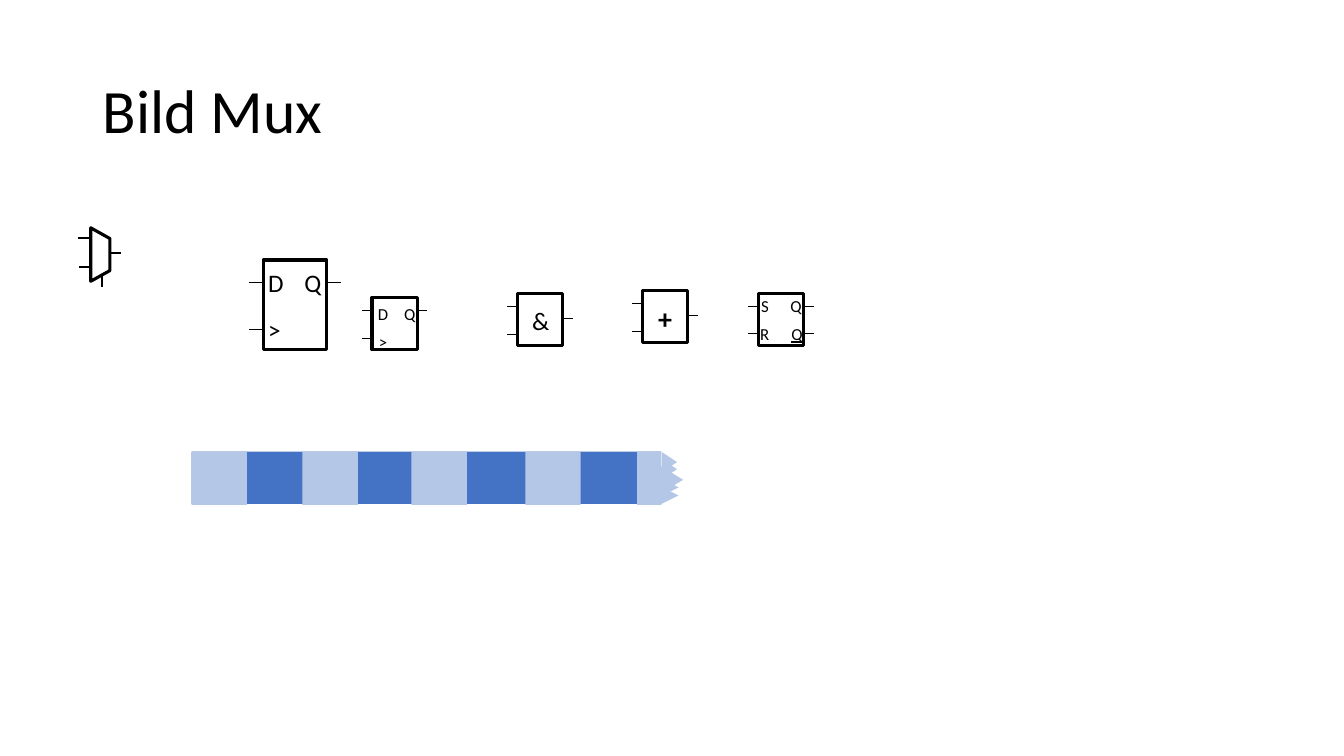
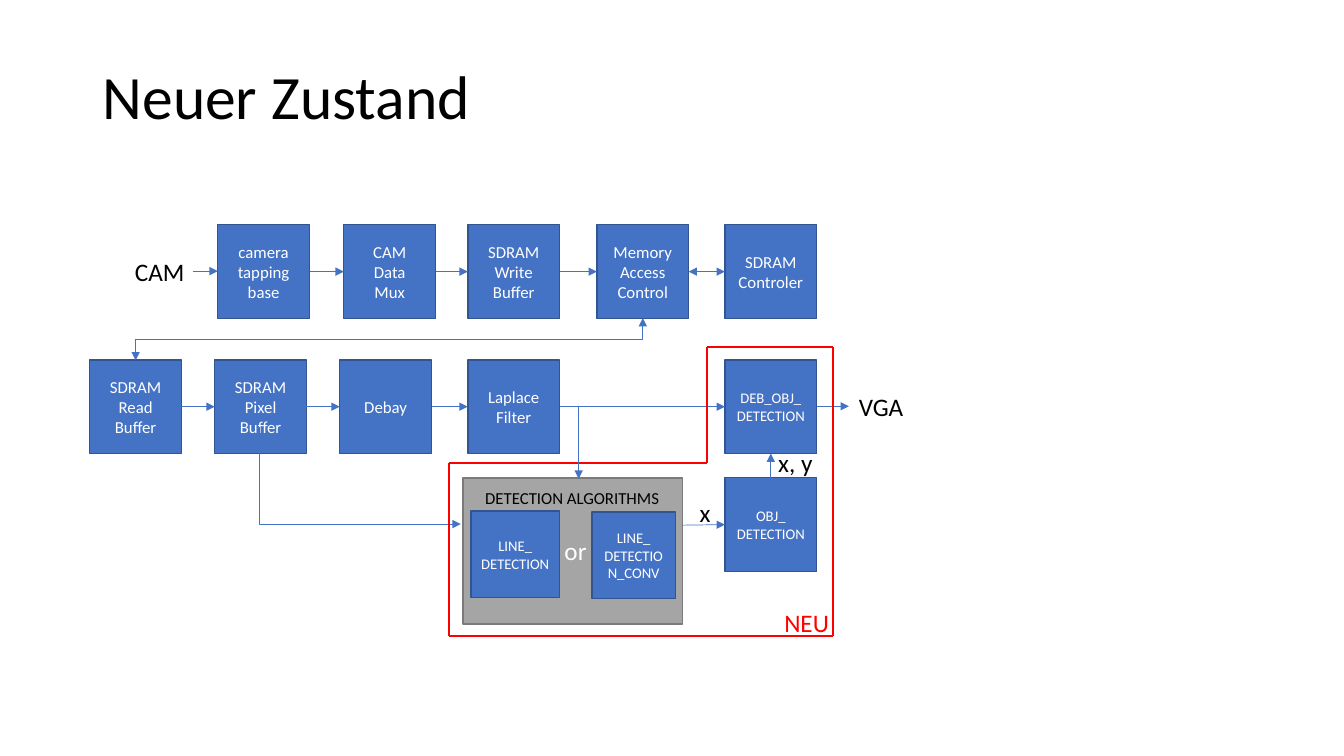
import itertools

import pptx
import pptx.dml.color
import pptx.enum.shapes
import pptx.enum.text
import pptx.oxml.ns
import pptx.util

SHAPE = pptx.enum.shapes.MSO_SHAPE
CONNECTOR = pptx.enum.shapes.MSO_CONNECTOR
ALIGN = pptx.enum.text.PP_ALIGN
ANCHOR = pptx.enum.text.MSO_ANCHOR
inch = pptx.util.Inches
qn = pptx.oxml.ns.qn

# Shared style
FONT = "Calibri"
BLACK, WHITE, RED = "000000", "FFFFFF", "FF0000"
BLUE, BLUE_EDGE, PALE_BLUE = "4472C4", "325491", "B4C7E7"
GREY, GREY_EDGE = "A5A5A5", "7A7A7A"
TOP, LEFT, BOTTOM, RIGHT = range(4)

# Slide 1: logic symbols; pins and labels are offsets from the body's corner
GATE = (0.45, 0.52)
SYMBOLS = [
    {"at": (2.61, 2.58), "size": (0.63, 0.89), "pin": 0.14,
     "inputs": [0.22, 0.69], "outputs": [0.22],
     "labels": [("D", -0.05, 0.02, 18), ("Q", 0.31, 0.02, 18), (">", -0.05, 0.49, 18)]},
    {"at": (3.69, 2.95), "size": GATE, "pin": 0.1,
     "inputs": [0.13, 0.41], "outputs": [0.13],
     "labels": [("D", -0.04, 0.01, 12), ("Q", 0.22, 0.01, 12), (">", -0.03, 0.29, 12)]},
    {"at": (5.13, 2.91), "size": GATE, "pin": 0.1,
     "inputs": [0.13, 0.41], "outputs": [0.25],
     "labels": [("&", 0.05, 0.07, 18)]},
    {"at": (6.37, 2.88), "size": GATE, "pin": 0.1,
     "inputs": [0.13, 0.41], "outputs": [0.25],
     "labels": [("+", 0.06, 0.06, 20)]},
    {"at": (7.52, 2.91), "size": GATE, "pin": 0.1,
     "inputs": [0.13, 0.4], "outputs": [0.13, 0.4],
     "labels": [("S", -0.07, -0.03, 12), ("Q", 0.22, -0.03, 12),
                ("R", -0.08, 0.25, 12), ("Q", 0.23, 0.25, 12)]},
]
BOLD_LABELS = {"+"}
INVERTED_OUTPUT = ("Q", 0.23, 0.25, 12)
MUX_BODY = (0.73, 2.43, 0.53, 0.19)
MUX_PINS = [((1.01, 2.72), (1.01, 2.85)), ((0.89, 2.36), (0.77, 2.36)),
            ((0.9, 2.65), (0.78, 2.65)), ((1.2, 2.51), (1.09, 2.51))]

# Slide 1: data stream with a torn end
STREAM = (1.9, 4.48, 5.35, 0.52)
PALE_CELLS = [1.9, 3, 4.08, 5.21]
CELL = (0.55, 0.53)
TORN_CELL = 6.32
STREAM_END = (6.56, 4.41, 0.75, 0.7)
TEETH = [(6.54, 4.51, 0.2, 0.15), (6.54, 4.58, 0.2, 0.15), (6.53, 4.65, 0.27, 0.22),
         (6.54, 4.74, 0.19, 0.19), (6.54, 4.82, 0.19, 0.19)]

# Slide 2: block diagram, rows of (key, left, text, text size)
BLOCK = (0.91, 0.93)
BLOCK_ROWS = [
    (2.23, [("camera", 2.16, "camera\ntapping\nbase", 12),
            ("mux", 3.41, "CAM\nData\nMux", 12),
            ("write", 4.64, "SDRAM\nWrite\nBuffer", 12),
            ("memory", 5.92, "Memory\nAccess\nControl", 12),
            ("sdram", 7.19, "SDRAM\nControler", 12)]),
    (3.57, [("read", 0.89, "SDRAM\nRead\nBuffer", 12),
            ("pixel", 2.13, "SDRAM\nPixel\nBuffer", 12),
            ("debay", 3.37, "Debay", 12),
            ("laplace", 4.64, "Laplace\nFilter", 12),
            ("debug", 7.19, "DEB_OBJ_\nDETECTION", 10.5)]),
    (4.74, [("object", 7.19, "OBJ_\nDETECTION", 10.5)]),
]
CHAINS = [("camera", "mux", "write", "memory"),
          ("read", "pixel", "debay", "laplace", "debug")]
CAMERA_IN = ((1.91, 2.69), (2.16, 2.69))
VGA_OUT = ((8.1, 4.03), (8.42, 4.03))
FILTER_TAP = ((5.74, 4.04), (5.74, 4.75))
DETECTION_OUT = ((6.77, 5.21), (7.19, 5.21))
NEW_AREA = [(7.01, 3.44), (8.26, 3.44), (8.26, 6.31),
            (4.45, 6.31), (4.45, 4.59), (7.01, 4.59)]
DETECTION_FRAME = (4.59, 4.74, 2.18, 1.45)
DETECTORS = [((4.67, 5.07, 0.88, 0.86), "LINE_\nDETECTION"),
             ((5.87, 5.08, 0.83, 0.86), "LINE_\nDETECTION_CONV")]
SIGNALS = [("CAM", 1.24, 2.49, 0.75, BLACK), ("VGA", 8.42, 3.83, 0.75, BLACK),
           ("NEU", 7.68, 5.98, 0.75, RED), ("x", 6.84, 4.88, 0.35, BLACK),
           ("x, y", 7.62, 4.39, 0.6, BLACK)]


def rgb(color):
    return pptx.dml.color.RGBColor.from_string(color)


def write(shape, text, size, color, align=ALIGN.LEFT, anchor=ANCHOR.TOP):
    frame = shape.text_frame
    frame.word_wrap = True
    frame.vertical_anchor = anchor
    paragraph = frame.paragraphs[0]
    paragraph.text = text
    paragraph.alignment = align
    paragraph.font.name = FONT
    paragraph.font.size = pptx.util.Pt(size)
    paragraph.font.color.rgb = rgb(color)
    return paragraph


def label(shapes, box, text, size, color=BLACK, align=ALIGN.LEFT, anchor=ANCHOR.TOP):
    return write(shapes.add_textbox(*map(inch, box)), text, size, color, align, anchor)


def add_shape(shapes, kind, box, fill, edge=None, width=1, rotation=0):
    shape = shapes.add_shape(kind, *map(inch, box))
    shape.shadow.inherit = False
    shape.rotation = rotation
    shape.fill.solid()
    shape.fill.fore_color.rgb = rgb(fill)
    if edge:
        shape.line.color.rgb = rgb(edge)
        shape.line.width = pptx.util.Pt(width)
    else:
        shape.line.fill.background()
    return shape


def block(shapes, box, text, size, fill=BLUE, edge=BLUE_EDGE):
    shape = add_shape(shapes, SHAPE.RECTANGLE, box, fill, edge)
    write(shape, text, size, WHITE, ALIGN.CENTER, ANCHOR.MIDDLE)
    return shape


def line(shapes, start, end, color=BLACK, width=1, heads=(), kind=CONNECTOR.STRAIGHT):
    connector = shapes.add_connector(kind, *map(inch, (*start, *end)))
    connector.line.color.rgb = rgb(color)
    connector.line.width = pptx.util.Pt(width)
    outline = connector.line._get_or_add_ln()
    for head in heads:
        outline.append(outline.makeelement(qn("a:" + head), {"type": "triangle"}))
    properties = connector._element.spPr
    properties.append(properties.makeelement(qn("a:effectLst"), {}))
    return connector


def arrow(shapes, start, end, heads=("tailEnd",), kind=CONNECTOR.STRAIGHT):
    return line(shapes, start, end, BLUE, 0.5, heads, kind)


def join(shapes, source, out_side, target, in_side, heads=("tailEnd",)):
    connector = arrow(shapes, (0, 0), (1, 1), heads)
    connector.begin_connect(source, out_side)
    connector.end_connect(target, in_side)


def elbow(shapes, start, end, preset, rotation, heads=("tailEnd",)):
    """Bent arrow; start and end are given before rotation."""
    connector = arrow(shapes, start, end, heads, CONNECTOR.ELBOW)
    properties = connector._element.spPr
    properties.find(qn("a:xfrm")).set("rot", str(rotation * 60000))
    properties.find(qn("a:prstGeom")).set("prst", preset)


def new_slide(deck, title, top):
    shapes = deck.slides.add_slide(deck.slide_layouts[6]).shapes
    heading = label(shapes, (0.92, top, 11.5, 1.45), title, 44, anchor=ANCHOR.MIDDLE)
    heading.line_spacing = 0.9
    return shapes


def draw_symbol(shapes, symbol):
    (x, y), (w, h), pin = symbol["at"], symbol["size"], symbol["pin"]
    add_shape(shapes, SHAPE.RECTANGLE, (x, y, w, h), WHITE, BLACK, 2.25)
    for edge, offsets in ((x - pin, symbol["inputs"]), (x + w, symbol["outputs"])):
        for dy in offsets:
            line(shapes, (edge, y + dy), (edge + pin, y + dy))
    for entry in symbol["labels"]:
        text, dx, dy, size = entry
        box = (x + dx, y + dy, 0.32 if size == 12 else 0.38, size / 45)
        paragraph = label(shapes, box, text, size)
        if text in BOLD_LABELS:
            paragraph.font.bold = True
        if entry == INVERTED_OUTPUT:
            paragraph.font.underline = True


def draw_stream(shapes):
    add_shape(shapes, SHAPE.RECTANGLE, STREAM, BLUE)
    top = STREAM[1]
    add_shape(shapes, SHAPE.RECTANGLE, (TORN_CELL, top, *CELL), PALE_BLUE)
    add_shape(shapes, SHAPE.RECTANGLE, STREAM_END, WHITE)
    for tooth in TEETH:
        add_shape(shapes, SHAPE.ISOSCELES_TRIANGLE, tooth, PALE_BLUE, rotation=90)
    for left in PALE_CELLS:
        add_shape(shapes, SHAPE.RECTANGLE, (left, top, *CELL), PALE_BLUE)


def draw_mux(shapes):
    add_shape(shapes, SHAPE.FLOWCHART_MANUAL_OPERATION, MUX_BODY, WHITE, BLACK, 2.25, 270)
    for start, end in MUX_PINS:
        line(shapes, start, end)


def symbols_slide(deck):
    shapes = new_slide(deck, "Bild Mux", 0.4)
    for symbol in SYMBOLS:
        draw_symbol(shapes.add_group_shape().shapes, symbol)
    draw_stream(shapes.add_group_shape().shapes)
    draw_mux(shapes.add_group_shape().shapes)


def state_slide(deck):
    shapes = new_slide(deck, "Neuer Zustand", 0.26)
    blocks = {key: block(shapes, (left, top, *BLOCK), text, size)
              for top, row in BLOCK_ROWS for key, left, text, size in row}

    # Data flow between blocks
    for chain in CHAINS:
        for source, target in itertools.pairwise(chain):
            join(shapes, blocks[source], RIGHT, blocks[target], LEFT)
    join(shapes, blocks["memory"], RIGHT, blocks["sdram"], LEFT, ("headEnd", "tailEnd"))
    join(shapes, blocks["object"], TOP, blocks["debug"], BOTTOM)
    elbow(shapes, (3.65, 0.85), (4.07, 5.88), "bentConnector3", 90, ("headEnd", "tailEnd"))
    elbow(shapes, (4.05, 3.72), (3.09, 5.72), "bentConnector2", 270)
    arrow(shapes, *CAMERA_IN)
    arrow(shapes, *VGA_OUT)

    # Outline of the new part
    for start, end in zip(NEW_AREA, NEW_AREA[1:] + NEW_AREA[:1]):
        line(shapes, start, end, RED, 1.5)

    # Detection algorithms
    detection = shapes.add_group_shape().shapes
    block(detection, DETECTION_FRAME, " or", 18, GREY, GREY_EDGE)
    for box, text in DETECTORS:
        block(detection, box, text, 10.5)
    label(detection, (4.6, 4.79, 2.15, 0.3), "DETECTION ALGORITHMS", 12, align=ALIGN.CENTER)
    out = arrow(shapes, *DETECTION_OUT)
    out.end_connect(blocks["object"], LEFT)
    arrow(shapes, *FILTER_TAP)

    # Signal names
    for text, left, top, width, color in SIGNALS:
        label(shapes, (left, top, width, 0.4), text, 18, color)


def main():
    deck = pptx.Presentation()
    deck.slide_width, deck.slide_height = inch(13.33), inch(7.5)
    symbols_slide(deck)
    state_slide(deck)
    deck.save("out.pptx")


if __name__ == "__main__":
    main()
